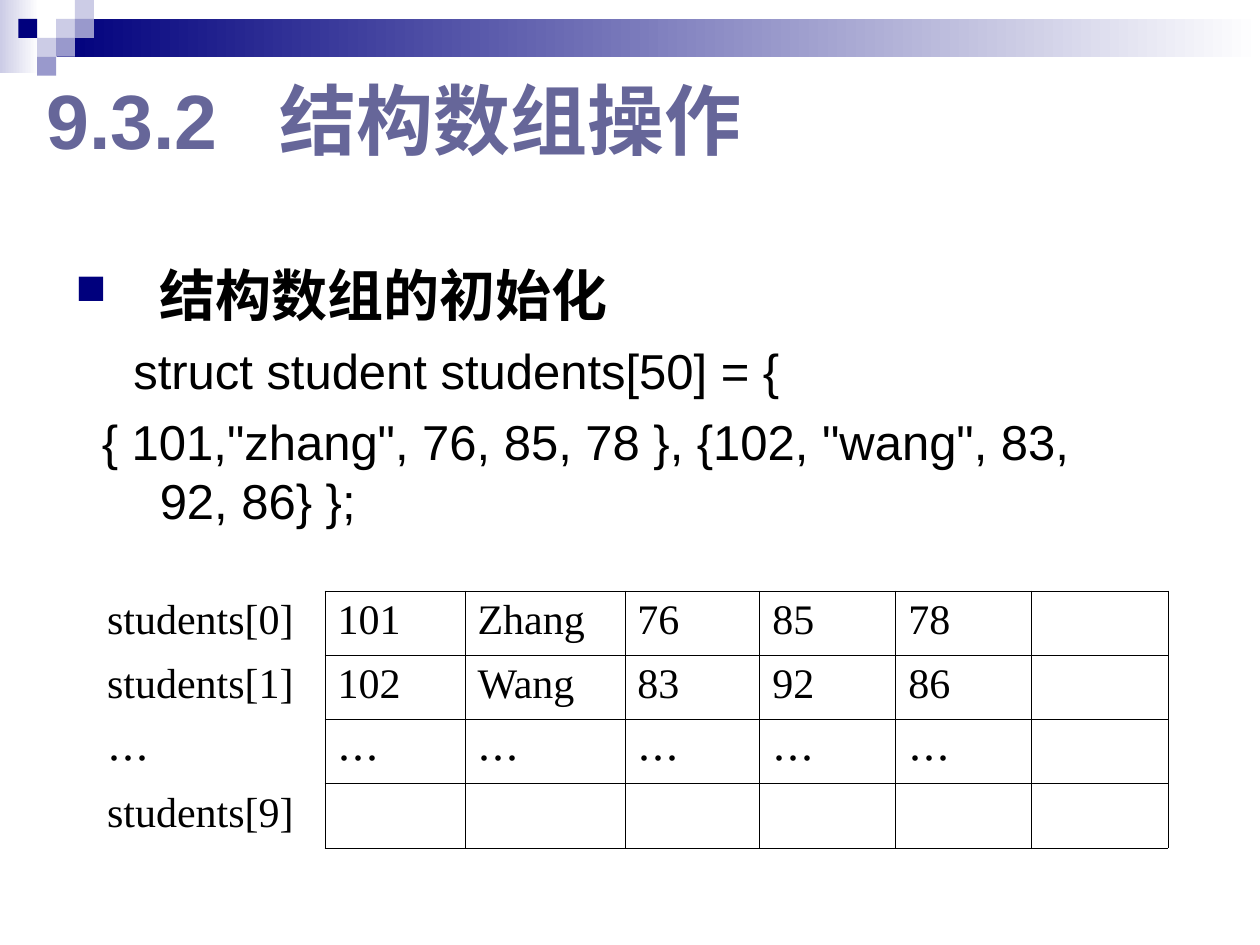
import lxml.etree
import pptx
import pptx.dml.color
import pptx.enum.shapes
import pptx.enum.text
import pptx.oxml.ns
import pptx.util

WIDTH, HEIGHT = 10, 7.5
UNIT = 0.15
NAVY, VIOLET, LILAC, WHITE, BLACK = "00007D", "9999CC", "CCCCE6", "FFFFFF", "000000"
TITLE_COLOR = "666699"
SANS, SERIF, CHINESE = "Arial", "Times New Roman", "Noto Sans CJK SC"
SQUARES = [(2, 1, LILAC), (3, 0, LILAC), (3, 1, VIOLET), (1, 2, LILAC),
           (0, 1, NAVY), (2, 2, VIOLET), (1, 3, VIOLET)]
COLUMN_WIDTHS = [1.83, 1.11, 1.27, 1.07, 1.08, 1.08, 1.08]
ROW_HEIGHT = 0.51
RECORDS = [
    ["students[0]", "101", "Zhang", "76", "85", "78", ""],
    ["students[1]", "102", "Wang", "83", "92", "86", ""],
    ["…", "…", "…", "…", "…", "…", ""],
    ["students[9]", "", "", "", "", "", ""],
]


def color(hex_code):
    """Turn a hex string into a colour value."""
    return pptx.dml.color.RGBColor.from_string(hex_code)


def inches(*lengths):
    """Convert several lengths to slide units."""
    return [pptx.util.Inches(length) for length in lengths]


def add_node(parent, tag, **attributes):
    """Append a DrawingML element to a parent."""
    node = lxml.etree.SubElement(parent, pptx.oxml.ns.qn(tag))
    for name, value in attributes.items():
        node.set(name, str(value))
    return node


def add_block(page, left, top, width, height, *fills):
    """Add a rectangle with one solid fill or a left-to-right gradient."""
    block = page.shapes.add_shape(pptx.enum.shapes.MSO_SHAPE.RECTANGLE,
                                  *inches(left, top, width, height))
    block.shadow.inherit = False
    block.line.fill.background()
    if len(fills) == 1:
        block.fill.solid()
        block.fill.fore_color.rgb = color(fills[0])
        return
    block.fill.gradient()
    block.fill.gradient_angle = 0
    for stop, shade in zip(block.fill.gradient_stops, fills):
        stop.color.rgb = color(shade)


def add_header(page):
    """Draw the gradient bars and the mosaic of squares."""
    add_block(page, 0, 0, 0.31, 0.58, LILAC, WHITE)
    add_block(page, 3 * UNIT, UNIT, WIDTH - 3 * UNIT, 2 * UNIT, NAVY, WHITE)
    for column, row, shade in SQUARES:
        add_block(page, (column + 1) * UNIT - 0.005, row * UNIT, UNIT, UNIT, shade)


def add_text_box(page, left, top, width, height, text, anchor):
    """Add a wrapping text box and return its paragraphs."""
    box = page.shapes.add_textbox(*inches(left, top, width, height))
    box.text_frame.word_wrap = True
    box.text_frame.vertical_anchor = anchor
    box.text_frame.text = text
    return box.text_frame.paragraphs


def format_runs(para, size, font, shade=BLACK, bold=False):
    """Set size, typefaces, colour and weight on each run."""
    for span in para.runs:
        span.font.size = pptx.util.Pt(size)
        span.font.name = font
        span.font.bold = bold
        span.font.color.rgb = color(shade)
        add_node(span.font._element, "a:ea", typeface=CHINESE)


def set_indent(para, margin, first_line):
    """Set the left margin and the first-line indent; return the properties."""
    properties = para._p.get_or_add_pPr()
    margin, first_line = inches(margin, first_line)
    properties.set("marL", str(margin))
    properties.set("indent", str(first_line))
    return properties


def add_title(page):
    """Add the section number and title, parted by a tab stop."""
    para, = add_text_box(page, 0.27, 0.42, 9, 1.04, "9.3.2\t结构数组操作",
                         pptx.enum.text.MSO_ANCHOR.MIDDLE)
    tabs = add_node(para._p.get_or_add_pPr(), "a:tabLst")
    add_node(tabs, "a:tab", pos=pptx.util.Inches(1.85), algn="l")
    format_runs(para, 44, SANS, TITLE_COLOR, True)


def add_body(page):
    """Add the bulleted heading and the initialisation code."""
    lines = ["结构数组的初始化", "struct student students[50] = {",
             '{ 101,"zhang", 76, 85, 78 }, {102, "wang", 83, 92, 86} };']
    heading, *code = add_text_box(page, 0.5, 2.02, 8.67, 2.4, "\n".join(lines),
                                  pptx.enum.text.MSO_ANCHOR.TOP)
    properties = set_indent(heading, 0.67, -0.67)
    add_node(add_node(properties, "a:buClr"), "a:srgbClr", val=NAVY)
    add_node(properties, "a:buSzPct", val=75000)
    add_node(properties, "a:buChar", char="■")
    format_runs(heading, 32, SANS, bold=True)
    for para, first_line in zip(code, [-0.21, -0.46]):
        set_indent(para, 0.67, first_line)
        para.space_before = pptx.util.Pt(7)
        format_runs(para, 28, SANS)


def set_borders(cell, visible_sides):
    """Draw thin black borders on the named sides and clear the others."""
    properties = cell._tc.get_or_add_tcPr()
    for side in "LRTB":
        line = add_node(properties, f"a:ln{side}", w=pptx.util.Pt(0.45))
        if side in visible_sides:
            add_node(add_node(line, "a:solidFill"), "a:srgbClr", val=BLACK)
        else:
            add_node(line, "a:noFill")


def add_records(page):
    """Add the table of array elements with unframed row labels."""
    frame = page.shapes.add_table(
        len(RECORDS), len(COLUMN_WIDTHS),
        *inches(0.75, 4.69, sum(COLUMN_WIDTHS), ROW_HEIGHT * len(RECORDS)))
    table = frame.table
    table.first_row = table.horz_banding = False
    for column, width in zip(table.columns, COLUMN_WIDTHS):
        column.width = pptx.util.Inches(width)
    for row, record in zip(table.rows, RECORDS):
        row.height = pptx.util.Inches(ROW_HEIGHT)
        for index, (cell, value) in enumerate(zip(row.cells, record)):
            cell.text_frame.text = value
            format_runs(cell.text_frame.paragraphs[0], 24,
                        CHINESE if value == "…" else SERIF)
            set_borders(cell, "LRTB" if index else "R")
            cell.fill.background()


def main():
    """Build the slide and save it."""
    deck = pptx.Presentation()
    deck.slide_width, deck.slide_height = inches(WIDTH, HEIGHT)
    page = deck.slides.add_slide(deck.slide_layouts[6])
    add_header(page)
    add_title(page)
    add_body(page)
    add_records(page)
    deck.save("out.pptx")


if __name__ == "__main__":
    main()
